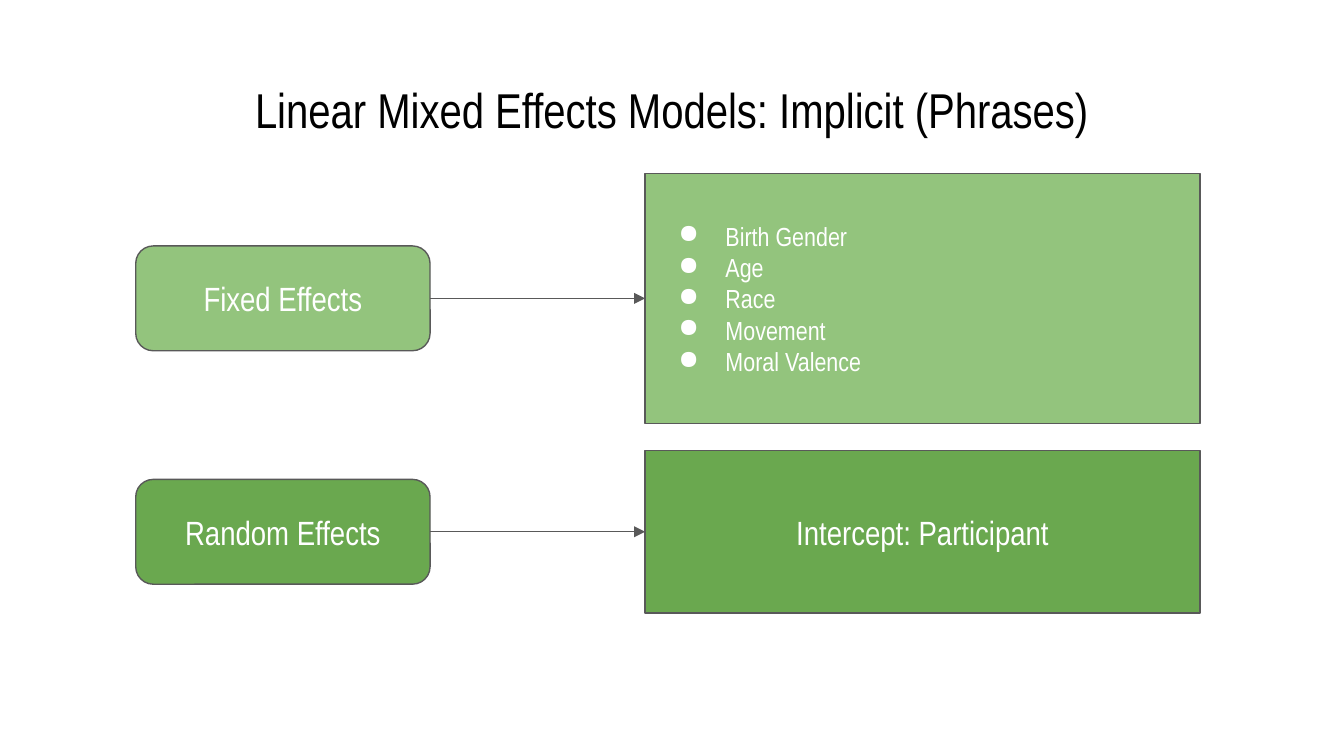
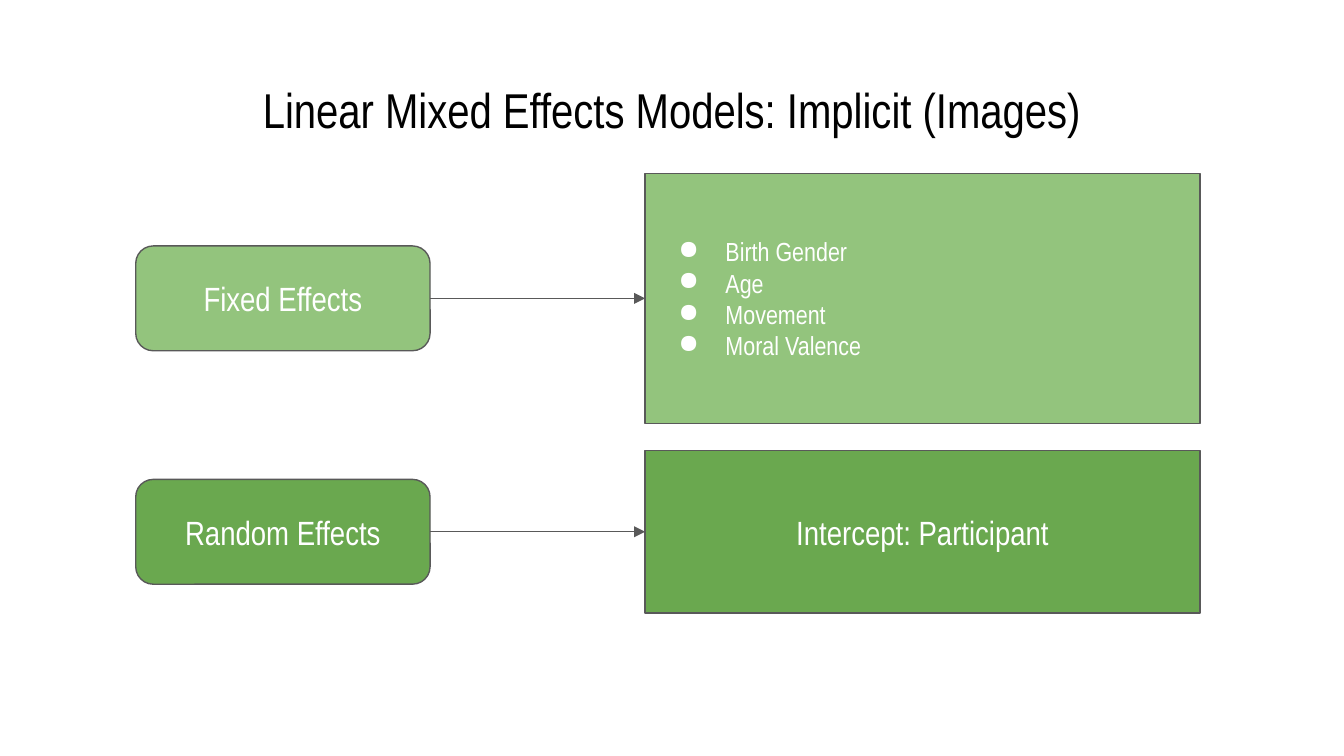
from lxml import etree
from pptx import Presentation
from pptx.dml.color import RGBColor
from pptx.enum.shapes import MSO_CONNECTOR, MSO_SHAPE
from pptx.enum.text import MSO_ANCHOR, MSO_AUTO_SIZE, PP_ALIGN
from pptx.oxml.ns import qn
from pptx.util import Pt

ROUNDED = MSO_SHAPE.ROUNDED_RECTANGLE
RECTANGLE = MSO_SHAPE.RECTANGLE
STRAIGHT = MSO_CONNECTOR.STRAIGHT
TOP, MIDDLE = MSO_ANCHOR.TOP, MSO_ANCHOR.MIDDLE
LEFT, CENTER = PP_ALIGN.LEFT, PP_ALIGN.CENTER
NO_AUTOFIT = MSO_AUTO_SIZE.NONE
LEFT_SIDE, RIGHT_SIDE = 1, 3

COLORS = {
    "title": "000000",
    "text": "FFFFFF",
    "outline": "595959",
    "fixed": "93C47D",
    "random": "6AA84F",
}
FONT = "Arial Narrow"
INSET = 7.2
OUTLINE_WIDTH = 0.75
LABEL_LEFT, LABEL_WIDTH, LABEL_HEIGHT = 72.72, 157.68, 56.16
DETAIL_LEFT, DETAIL_WIDTH = 345.6, 297.36
FIXED_CENTER, FIXED_HEIGHT = 159.84, 133.92
RANDOM_CENTER, RANDOM_HEIGHT = 284.9, 87.12

MODELS = [
    ("Phrases", ["Birth Gender", "Age", "Race", "Movement", "Moral Valence"]),
    ("Images", ["Birth Gender", "Age", "Movement", "Moral Valence"]),
]


def rgb(name):
    return RGBColor.from_string(COLORS[name])


def format_text(shape, size, color, anchor, alignment):
    text_frame = shape.text_frame
    text_frame.word_wrap = True
    text_frame.auto_size = NO_AUTOFIT
    text_frame.vertical_anchor = anchor
    text_frame.margin_left = text_frame.margin_right = Pt(INSET)
    text_frame.margin_top = text_frame.margin_bottom = Pt(INSET)
    for paragraph in text_frame.paragraphs:
        paragraph.alignment = alignment
        for run in paragraph.runs:
            run.font.name = FONT
            run.font.size = Pt(size)
            run.font.color.rgb = rgb(color)


def add_title(slide, text):
    title = slide.shapes.title
    title.left, title.top = Pt(24.48), Pt(35.28)
    title.width, title.height = Pt(671.04), Pt(45.36)
    title.text_frame.text = text
    format_text(title, 26.2, "title", TOP, CENTER)


def add_box(slide, kind, left, center, width, height, fill, text, size=18, alignment=CENTER):
    shape = slide.shapes.add_shape(
        kind, Pt(left), Pt(center - height / 2), Pt(width), Pt(height)
    )
    shape.shadow.inherit = False
    shape.fill.solid()
    shape.fill.fore_color.rgb = rgb(fill)
    shape.line.color.rgb = rgb("outline")
    shape.line.width = Pt(OUTLINE_WIDTH)
    shape.text_frame.text = text
    format_text(shape, size, "text", MIDDLE, alignment)
    return shape


def add_bullets(shape):
    for paragraph in shape.text_frame.paragraphs:
        properties = paragraph._p.get_or_add_pPr()
        properties.set("marL", str(Pt(36)))
        properties.set("indent", str(Pt(-25.2)))
        bullet_color = etree.SubElement(properties, qn("a:buClr"))
        etree.SubElement(bullet_color, qn("a:srgbClr"), val=COLORS["text"])
        etree.SubElement(properties, qn("a:buChar"), char="●")


def add_arrow(slide, source, target):
    arrow = slide.shapes.add_connector(STRAIGHT, 0, 0, 0, 0)
    arrow.begin_connect(source, RIGHT_SIDE)
    arrow.end_connect(target, LEFT_SIDE)
    arrow.line.color.rgb = rgb("outline")
    arrow.line.width = Pt(OUTLINE_WIDTH)
    etree.SubElement(arrow.line._get_or_add_ln(), qn("a:tailEnd"), type="triangle")
    etree.SubElement(arrow._element.spPr, qn("a:effectLst"))


def add_effect(slide, name, fill, center, height, text, size=18, alignment=CENTER):
    label = add_box(
        slide, ROUNDED, LABEL_LEFT, center, LABEL_WIDTH, LABEL_HEIGHT, fill, name
    )
    detail = add_box(
        slide, RECTANGLE, DETAIL_LEFT, center, DETAIL_WIDTH, height, fill, text, size, alignment
    )
    add_arrow(slide, label, detail)
    return detail


def add_model_slide(presentation, stimulus, fixed_effects):
    slide = presentation.slides.add_slide(presentation.slide_layouts[5])
    add_title(slide, f"Linear Mixed Effects Models: Implicit ({stimulus})")
    fixed = add_effect(
        slide, "Fixed Effects", "fixed", FIXED_CENTER, FIXED_HEIGHT,
        "\n".join(fixed_effects), 14, LEFT,
    )
    add_bullets(fixed)
    add_effect(
        slide, "Random Effects", "random", RANDOM_CENTER, RANDOM_HEIGHT,
        "Intercept: Participant",
    )


def main():
    presentation = Presentation()
    presentation.slide_width, presentation.slide_height = Pt(720), Pt(405)
    for stimulus, fixed_effects in MODELS:
        add_model_slide(presentation, stimulus, fixed_effects)
    presentation.save("out.pptx")


if __name__ == "__main__":
    main()
